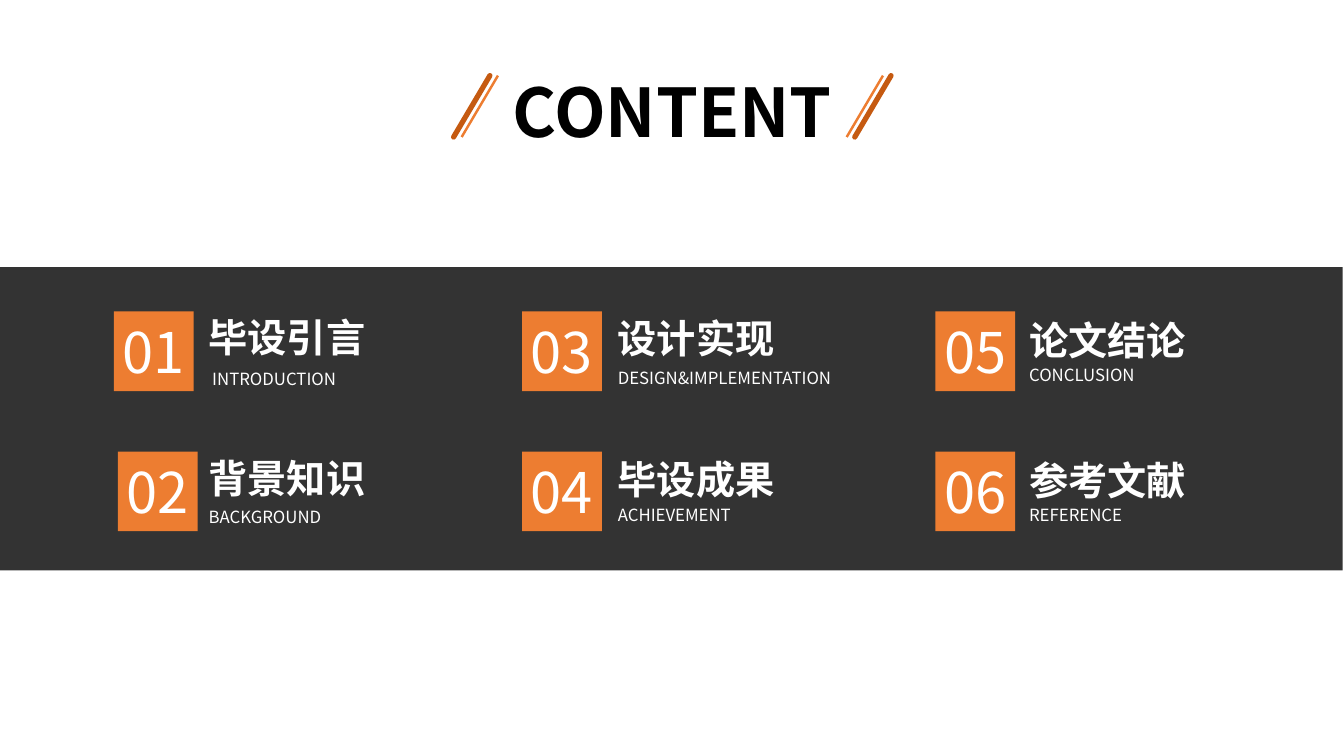
from dataclasses import dataclass

from lxml.etree import SubElement
from pptx import Presentation
from pptx.dml.color import RGBColor
from pptx.enum.shapes import MSO_CONNECTOR, MSO_SHAPE
from pptx.enum.text import MSO_ANCHOR, PP_ALIGN
from pptx.oxml.ns import qn
from pptx.shapes.autoshape import Shape
from pptx.slide import Slide
from pptx.util import Inches, Pt

FONT = "Noto Sans CJK SC"
BLACK, WHITE, ORANGE, RUST = "000000", "FFFFFF", "ED7D31", "C55A11"
SLIDE_WIDTH, SLIDE_HEIGHT = Inches(13.33), Inches(7.5)
GRID_COLUMNS = GRID_ROWS = 100
BADGE_COLUMNS, BADGE_ROWS = 5.93, 10.53
FIRST_ROW, ROW_PITCH = 41.2, 18.53
LABEL_COLUMNS = (14.78, 45.23, 75.83)
SLASH_TOP, SLASH_BOTTOM, SLASH_RUN = 10, 18.13, 2.7


@dataclass(frozen=True)
class Box:
    column: float
    row: float
    columns: float
    rows: float


@dataclass(frozen=True)
class Slash:
    column: float
    color: str
    weight: float
    cap: str


@dataclass(frozen=True)
class Entry:
    heading: str
    caption: str
    badge_column: float
    heading_row: float
    caption_row: float
    caption_columns: float
    caption_indent: float = 0


SLASHES = (
    Slash(37.05, ORANGE, 1.75, "flat"),
    Slash(65.7, ORANGE, 1.75, "flat"),
    Slash(66.3, RUST, 3.75, "rnd"),
    Slash(36.45, RUST, 3.75, "rnd"),
)

ENTRIES = (
    Entry("毕设引言", "INTRODUCTION", 8.48, 40.8, 48.13, 11.7, 0.27),
    Entry("背景知识", "BACKGROUND", 8.78, 59.47, 66.4, 10.58),
    Entry("设计实现", "DESIGN&IMPLEMENTATION", 38.85, 40.93, 48, 18.75),
    Entry("毕设成果", "ACHIEVEMENT", 38.85, 59.6, 66.13, 10.5),
    Entry("论文结论", "CONCLUSION", 69.6, 41.2, 47.6, 9.98),
    Entry("参考文献", "REFERENCE", 69.6, 59.73, 66.13, 8.48),
)


def across(columns: float) -> int:
    return round(SLIDE_WIDTH * columns / GRID_COLUMNS)


def down(rows: float) -> int:
    return round(SLIDE_HEIGHT * rows / GRID_ROWS)


def place(box: Box) -> tuple[int, int, int, int]:
    return across(box.column), down(box.row), across(box.columns), down(box.rows)


def color(value: str) -> RGBColor:
    return RGBColor.from_string(value)


def write_text(shape: Shape, text: str, *, size: float, fill: str = WHITE,
               bold: bool = False, align: PP_ALIGN = PP_ALIGN.LEFT,
               anchor: MSO_ANCHOR = MSO_ANCHOR.TOP) -> None:
    frame = shape.text_frame
    frame.word_wrap = True
    frame.vertical_anchor = anchor
    paragraph = frame.paragraphs[0]
    paragraph.alignment = align
    run = paragraph.add_run()
    run.text = text
    run.font.name = FONT
    run.font.size = Pt(size)
    run.font.bold = bold
    run.font.color.rgb = color(fill)
    SubElement(run.font._element, qn("a:ea"), typeface=FONT)


def add_rectangle(slide: Slide, box: Box, fill: str) -> Shape:
    shape = slide.shapes.add_shape(MSO_SHAPE.RECTANGLE, *place(box))
    shape.shadow.inherit = False
    shape.fill.solid()
    shape.fill.fore_color.rgb = color(fill)
    shape.line.fill.background()
    return shape


def add_band(slide: Slide) -> None:
    band = add_rectangle(slide, Box(-0.45, 35.33, 100.35, 40.13), BLACK)
    tint = band._element.spPr.find(qn("a:solidFill")).find(qn("a:srgbClr"))
    SubElement(tint, qn("a:alpha"), val="80000")


def add_slash(slide: Slide, slash: Slash) -> None:
    connector = slide.shapes.add_connector(
        MSO_CONNECTOR.STRAIGHT, across(slash.column), down(SLASH_TOP),
        across(slash.column - SLASH_RUN), down(SLASH_BOTTOM))
    connector.line.color.rgb = color(slash.color)
    connector.line.width = Pt(slash.weight)
    properties = connector._element.spPr
    properties.find(qn("a:ln")).set("cap", slash.cap)
    SubElement(properties, qn("a:effectLst"))


def add_entry(slide: Slide, index: int, entry: Entry) -> None:
    grid_column, grid_row = divmod(index, 2)
    label_column = LABEL_COLUMNS[grid_column]
    badge = add_rectangle(
        slide, Box(entry.badge_column, FIRST_ROW + grid_row * ROW_PITCH,
                   BADGE_COLUMNS, BADGE_ROWS), ORANGE)
    badge.text_frame.margin_left = badge.text_frame.margin_right = 0
    write_text(badge, f"{index + 1:02}", size=40, align=PP_ALIGN.CENTER,
               anchor=MSO_ANCHOR.MIDDLE)
    heading = slide.shapes.add_textbox(
        *place(Box(label_column, entry.heading_row, 15.75, 7.6)))
    write_text(heading, entry.heading, size=28, bold=True, anchor=MSO_ANCHOR.MIDDLE)
    caption = slide.shapes.add_textbox(
        *place(Box(label_column + entry.caption_indent, entry.caption_row,
                   entry.caption_columns, 4)))
    write_text(caption, entry.caption, size=12)


def main() -> None:
    presentation = Presentation()
    presentation.slide_width = SLIDE_WIDTH
    presentation.slide_height = SLIDE_HEIGHT
    slide = presentation.slides.add_slide(presentation.slide_layouts[6])
    add_band(slide)
    title = slide.shapes.add_textbox(*place(Box(36.6, 8.67, 26.85, 12.13)))
    write_text(title, "CONTENT", size=48, fill=BLACK, bold=True, align=PP_ALIGN.CENTER)
    for slash in SLASHES:
        add_slash(slide, slash)
    for index, entry in enumerate(ENTRIES):
        add_entry(slide, index, entry)
    presentation.save("out.pptx")


if __name__ == "__main__":
    main()
